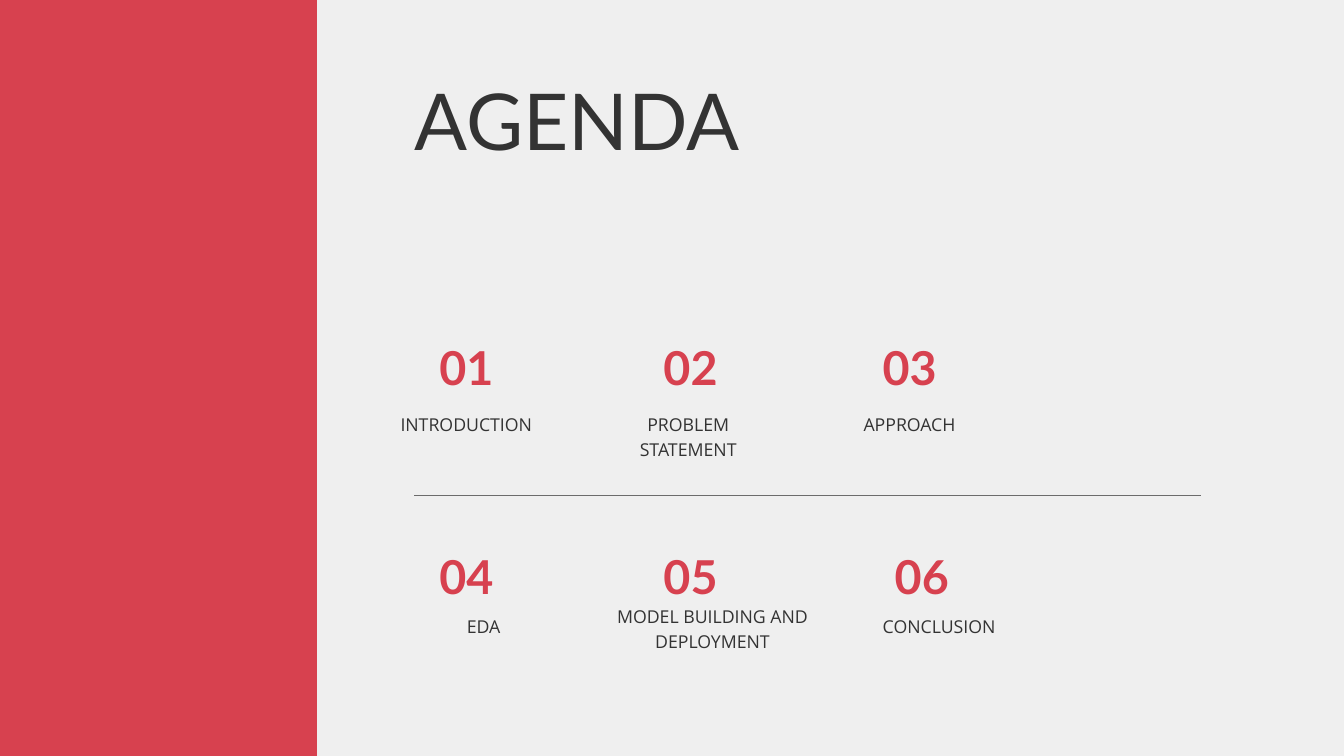
from typing import NamedTuple

from pptx import Presentation
from pptx.dml.color import RGBColor
from pptx.enum.shapes import MSO_CONNECTOR, MSO_SHAPE
from pptx.enum.text import PP_ALIGN
from pptx.oxml.ns import qn
from pptx.util import Pt
from lxml import etree

LEFT, MID = PP_ALIGN.LEFT, PP_ALIGN.CENTER
RECT, LINE = MSO_SHAPE.RECTANGLE, MSO_CONNECTOR.STRAIGHT
RED, DARK, GRAY, PALE = "D7414F", "333333", "6B6B6B", "EFEFEF"
HEAD, BODY = "Lato", "Open Sans"
NUM_W, NUM_H = 174.2, 59.8
TAG_W, TAG_H = 211, 22.7


class Style(NamedTuple):
    font: str
    size: float
    color: str
    bold: bool = False
    align: PP_ALIGN = MID


class Item(NamedTuple):
    num_x: float
    num_y: float
    tag_x: float
    tag_y: float
    tag: str
    rows: int = 1


TITLE = Style(HEAD, 84, DARK, align=LEFT)
NUM = Style(HEAD, 50, RED, bold=True)
TAG = Style(BODY, 19, DARK)

TOP, LOW = 352, 575.3
ITEMS = [
    Item(412.6, TOP, 394.1, 439.2, "INTRODUCTION"),
    Item(652.8, TOP, 634.3, 439.2, "PROBLEM \nSTATEMENT ", 2),
    Item(887.5, TOP, 869, 439.2, "APPROACH"),
    Item(412.6, LOW, 412.6, 655.9, "EDA"),
    Item(652.8, LOW, 657.9, 644.8, "MODEL BUILDING AND DEPLOYMENT", 2),
    Item(900.5, LOW, 900.7, 655.9, "CONCLUSION"),
]


def rgb(code: str) -> RGBColor:
    return RGBColor.from_string(code)


def add_text(slide, x: float, y: float, w: float, h: float,
             text: str, style: Style) -> None:
    box = slide.shapes.add_textbox(Pt(x), Pt(y), Pt(w), Pt(h))
    frame = box.text_frame
    frame.word_wrap = True
    frame.margin_left = frame.margin_right = Pt(0)
    frame.margin_top = frame.margin_bottom = Pt(0)
    frame.text = text
    for para in frame.paragraphs:
        para.alignment = style.align
        para.line_spacing = 1.19
        for run in para.runs:
            run.font.name = style.font
            run.font.size = Pt(style.size)
            run.font.bold = style.bold
            run.font.color.rgb = rgb(style.color)


def add_panel(slide) -> None:
    panel = slide.shapes.add_shape(RECT, Pt(-8), Pt(0), Pt(347.5), Pt(824.4))
    panel.shadow.inherit = False
    panel.fill.solid()
    panel.fill.fore_color.rgb = rgb(RED)
    panel.line.fill.background()


def add_rule(slide, x: float, y: float, end: float) -> None:
    rule = slide.shapes.add_connector(LINE, Pt(x), Pt(y), Pt(end), Pt(y))
    rule.line.color.rgb = rgb(GRAY)
    rule.line.width = Pt(0.75)
    etree.SubElement(rule._element.spPr, qn("a:effectLst"))


def add_item(slide, num: int, item: Item) -> None:
    add_text(slide, item.num_x, item.num_y, NUM_W, NUM_H, f"{num:02}", NUM)
    add_text(slide, item.tag_x, item.tag_y, TAG_W, TAG_H * item.rows,
             item.tag, TAG)


def main() -> None:
    deck = Presentation()
    deck.slide_width, deck.slide_height = Pt(1440), Pt(810)
    slide = deck.slides.add_slide(deck.slide_layouts[6])

    # Background and side panel
    slide.background.fill.solid()
    slide.background.fill.fore_color.rgb = rgb(PALE)
    add_panel(slide)

    # Title
    add_text(slide, 444.2, 58.3, 934.6, 100, "AGENDA", TITLE)

    # Agenda items, with a rule between the two rows
    for num, item in enumerate(ITEMS, 1):
        add_item(slide, num, item)
    add_rule(slide, 443.9, 530.6, 1286.6)

    deck.save("out.pptx")


if __name__ == "__main__":
    main()
